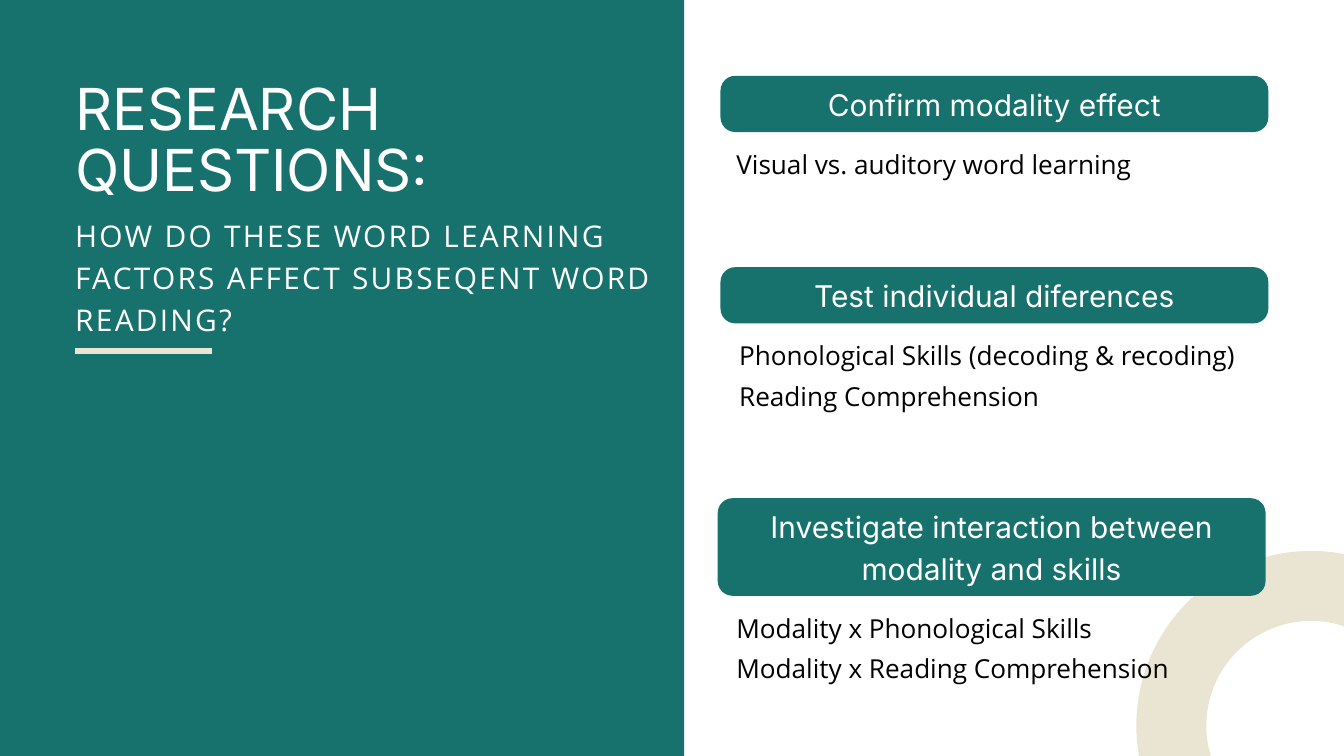
"""Build the research questions slide: a teal title panel beside three topic cards."""
from pptx import Presentation
from pptx.dml.color import RGBColor
from pptx.enum.shapes import MSO_CONNECTOR, MSO_SHAPE
from pptx.enum.text import MSO_ANCHOR, MSO_AUTO_SIZE, PP_ALIGN
from pptx.oxml.ns import qn
from pptx.util import Pt
from lxml import etree

LEFT, CENTER = PP_ALIGN.LEFT, PP_ALIGN.CENTER
TOP, MIDDLE = MSO_ANCHOR.TOP, MSO_ANCHOR.MIDDLE
NO_AUTOFIT = MSO_AUTO_SIZE.NONE
RECTANGLE, ROUNDED, OVAL = MSO_SHAPE.RECTANGLE, MSO_SHAPE.ROUNDED_RECTANGLE, MSO_SHAPE.OVAL
STRAIGHT = MSO_CONNECTOR.STRAIGHT

COLORS = {name: RGBColor.from_string(value) for name, value in {
    "teal": "17726D", "sand": "EAE4D2", "white": "FFFFFF", "black": "000000"}.items()}
CORNER_RADIUS = 15.8


def add_filled(kind, left, top, width, height, color):
    shape = slide.shapes.add_shape(kind, Pt(left), Pt(top), Pt(width), Pt(height))
    shape.shadow.inherit = False
    shape.fill.solid()
    shape.fill.fore_color.rgb = COLORS[color]
    shape.line.fill.background()
    return shape


def write(shape, lines, font, size, spacing, color, align=LEFT, anchor=TOP,
          insets=(0, 0, 0, 0), tracking=0):
    frame = shape.text_frame
    frame.word_wrap = True
    frame.auto_size = NO_AUTOFIT
    frame.vertical_anchor = anchor
    (frame.margin_left, frame.margin_top,
     frame.margin_right, frame.margin_bottom) = [Pt(inset) for inset in insets]
    for index, line in enumerate(lines):
        paragraph = frame.paragraphs[0] if index == 0 else frame.add_paragraph()
        paragraph.alignment = align
        paragraph.line_spacing = Pt(spacing)
        paragraph.space_before = Pt(0)
        run = paragraph.add_run()
        run.text = line
        run.font.name = font
        run.font.size = Pt(size)
        run.font.color.rgb = COLORS[color]
        if tracking:
            run.font._element.set("spc", str(tracking))


presentation = Presentation()
presentation.slide_width = Pt(1440)
presentation.slide_height = Pt(810)
slide = presentation.slides.add_slide(presentation.slide_layouts[5])

panel = add_filled(RECTANGLE, 0, 0, 733, 810, "teal")
title = slide.shapes.title
title.element.addprevious(panel.element)
title.left, title.top, title.width, title.height = Pt(80.6), Pt(87), Pt(641.5), Pt(132.5)
write(title, ["RESEARCH QUESTIONS:"], "Inter", 62, 65.1, "white")

subtitle = slide.shapes.add_textbox(Pt(80.6), Pt(226.8), Pt(641), Pt(131))
write(subtitle, ["HOW DO THESE WORD LEARNING FACTORS AFFECT SUBSEQENT WORD READING?"],
      "Open Sans", 32, 44.8, "white", tracking=240)

underline = slide.shapes.add_connector(STRAIGHT, Pt(80.6), Pt(375.8), Pt(227.5), Pt(375.8))
underline.line.color.rgb = COLORS["sand"]
underline.line.width = Pt(6)
etree.SubElement(underline._element.spPr, qn("a:effectLst"))

ring = add_filled(OVAL, 1255, 627.8, 299.5, 299.5, "white")
ring.fill.background()
ring.line.color.rgb = COLORS["sand"]
ring.line.width = Pt(75)

cards = [
    (772, 81.2, 60.3, "Confirm modality effect", 789, 149,
     ["Visual vs. auditory word learning"]),
    (772, 286.2, 60.3, "Test individual diferences", 792, 354.2,
     ["Phonological Skills (decoding & recoding)", "Reading Comprehension"]),
    (769, 533.8, 104.6, "Investigate interaction between modality and skills", 789, 645.8,
     ["Modality x Phonological Skills", "Modality x Reading Comprehension"]),
]
for left, top, height, heading, detail_left, detail_top, details in cards:
    card = add_filled(ROUNDED, left, top, 587, height, "teal")
    card.adjustments[0] = CORNER_RADIUS / height
    write(card, [heading], "Inter", 32, 44.8, "white", CENTER, MIDDLE, (4, 0, 4, 6))
    detail = slide.shapes.add_textbox(Pt(detail_left), Pt(detail_top), Pt(567),
                                      Pt(42 * len(details)))
    write(detail, details, "Open Sans", 28, 43.4, "black")

presentation.save("out.pptx")
